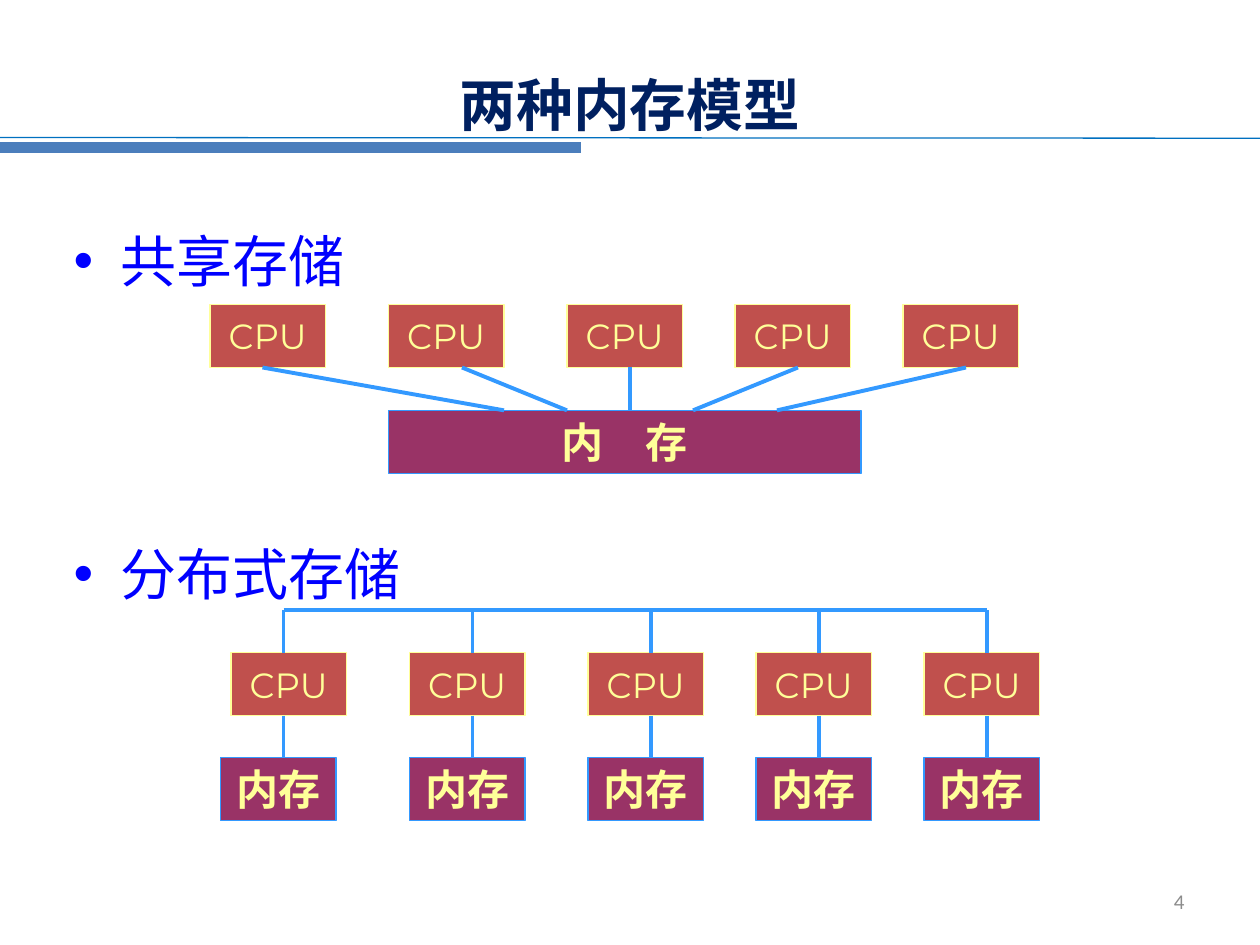
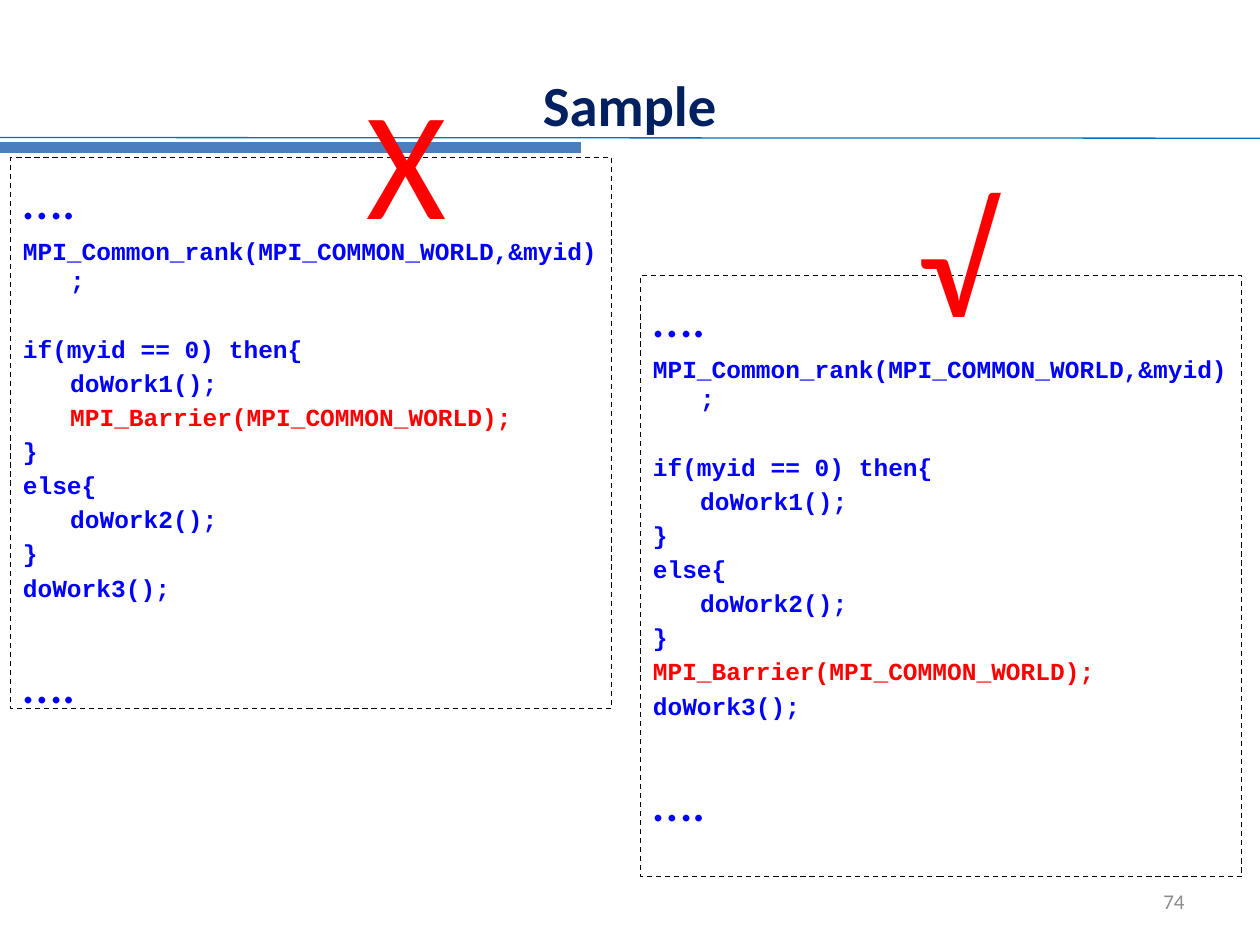
from lxml.etree import SubElement
from pptx import Presentation
from pptx.dml.color import RGBColor as RGB
from pptx.enum.dml import MSO_LINE
from pptx.enum.shapes import MSO_CONNECTOR as CONN, MSO_SHAPE as SHAPE
from pptx.enum.text import MSO_ANCHOR as ANCHOR, PP_ALIGN as ALIGN
from pptx.oxml.ns import qn
from pptx.util import Pt

COLORS = {
    "rule": "0070C0", "band": "4B7EBC", "title": "002060", "number": "8C8C8C",
    "blue": "0000FF", "red": "FF0000", "black": "000000", "link": "3399FF",
    "cpu": "C0504D", "memory": "993366", "yellow": "FFFF99",
}
CJK = "Noto Sans CJK SC"

# Text formats
TITLE = dict(name="Calibri", ea=CJK, size=32.4, bold=True, color="title")
NUMBER = dict(name="Calibri", size=12, color="number")
BULLET = dict(name="Calibri", ea=CJK, size=32, color="blue")
CPU_TEXT = dict(name="Montserrat", size=20, color="yellow")
MEMORY_TEXT = dict(name=CJK, size=24, bold=True, color="yellow")
CODE = dict(name="Courier New", size=14, bold=True, color="blue")
DOTS = dict(name="Calibri", size=32, color="blue")
MARK = dict(name="Calibri", size=88, color="red")

# Box formats: fill, line and text
CPU = ("cpu", "yellow", CPU_TEXT)
MEMORY = ("memory", "link", MEMORY_TEXT)

BOX_W, BOX_H = 66, 36
HANG = 27
CODE_W = 343.5
CODE_LINE, CODE_GAP = 17, 2.5
BLANK = CODE_LINE + CODE_GAP


def rgb(name):
    return RGB.from_string(COLORS[name])


def add_run(p, text, fmt):
    r = p.add_run()
    r.text = text
    for key, value in fmt.items():
        if key == "size":
            r.font.size = Pt(value)
        elif key == "color":
            r.font.color.rgb = rgb(value)
        elif key != "ea":
            setattr(r.font, key, value)
    ea = SubElement(r.font._element, qn("a:ea"))
    ea.set("typeface", fmt.get("ea", fmt["name"]))


def set_indent(p, left, first):
    pPr = p._p.get_or_add_pPr()
    pPr.set("marL", str(Pt(left)))
    pPr.set("indent", str(Pt(first)))
    return pPr


def add_text(s, box, text, fmt, align=ALIGN.LEFT, anchor=ANCHOR.MIDDLE, wrap=True):
    tf = s.shapes.add_textbox(*map(Pt, box)).text_frame
    tf.word_wrap, tf.vertical_anchor = wrap, anchor
    p = tf.paragraphs[0]
    p.alignment = align
    add_run(p, text, fmt)
    return tf


def add_bullet(s, y, text):
    tf = add_text(s, (42, y, 400, 48), text, BULLET)
    tf.margin_left = 0
    pPr = set_indent(tf.paragraphs[0], HANG, -HANG)
    SubElement(pPr, qn("a:buFont")).set("typeface", "Arial")
    SubElement(pPr, qn("a:buChar")).set("char", "•")


def add_line(s, x1, y1, x2, y2, color="link", width=2.25):
    ln = s.shapes.add_connector(CONN.STRAIGHT, *map(Pt, (x1, y1, x2, y2)))
    ln.line.color.rgb = rgb(color)
    ln.line.width = Pt(width)
    SubElement(ln._element.spPr, qn("a:effectLst"))


def add_rect(s, x, y, w, h, line, fill=None):
    sp = s.shapes.add_shape(SHAPE.RECTANGLE, *map(Pt, (x, y, w, h)))
    sp.shadow.inherit = False
    if fill:
        sp.fill.solid()
        sp.fill.fore_color.rgb = rgb(fill)
    else:
        sp.fill.background()
    sp.line.color.rgb = rgb(line)
    sp.line.width = Pt(0.75)
    return sp


def add_box(s, x, y, text, kind, w=BOX_W):
    fill, line, fmt = kind
    tf = add_rect(s, x, y, w, BOX_H, line, fill).text_frame
    tf.word_wrap, tf.vertical_anchor = False, ANCHOR.MIDDLE
    p = tf.paragraphs[0]
    p.alignment = ALIGN.CENTER
    add_run(p, text, fmt)


def add_code(s, x, y, h, lines):
    """Each line is (text, indented, colour, extra space before)."""
    sp = add_rect(s, x, y, CODE_W, h, "black")
    sp.line.dash_style = MSO_LINE.DASH
    tf = sp.text_frame
    tf.word_wrap, tf.vertical_anchor = True, ANCHOR.TOP
    dots = ("….", False, "blue", 0)
    for i, (text, indented, color, extra) in enumerate([dots, *lines, dots]):
        p = tf.add_paragraph() if i else tf.paragraphs[0]
        p.alignment = ALIGN.LEFT
        set_indent(p, HANG, 0 if indented else -HANG)
        if text == "….":
            p.space_before = Pt(6.4 + BLANK if i else 6.4)
            add_run(p, text, DOTS)
        else:
            p.line_spacing = Pt(CODE_LINE)
            p.space_before = Pt(CODE_GAP + extra)
            add_run(p, text, {**CODE, "color": color})


def add_slide(prs, title, number):
    s = prs.slides.add_slide(prs.slide_layouts[6])
    add_line(s, 0, 78.6, 720, 79, "rule", 0.75)
    add_line(s, 0, 84.3, 332, 84.3, "band", 6)
    add_text(s, (16.8, 39.6, 686, 39.6), title, TITLE, ALIGN.CENTER)
    add_text(s, (516, 500.5, 168, 28.8), number, NUMBER, ALIGN.RIGHT)
    return s


def memory_models(prs):
    s = add_slide(prs, "两种内存模型", "4")
    cpu_xs = [120, 222, 324, 420, 516]

    # Shared memory
    add_bullet(s, 124.5, "共享存储")
    cpu_y, bar_y = 174, 234.5
    add_box(s, 222, bar_y, "内　存", MEMORY, w=270)
    for x in cpu_xs:
        add_box(s, x, cpu_y, "CPU", CPU)
    for top_x, bar_x in zip([150, 264, 360, 456, 552], [288, 324, 360, 396, 444]):
        add_line(s, top_x, cpu_y + BOX_H, bar_x, bar_y)

    # Distributed memory
    add_bullet(s, 303.5, "分布式存储")
    bus_y, cpu_y, memory_y = 348.6, 373, 432.8
    memory_xs = [126, 234, 336, 432, 528]
    for cpu_x, memory_x in zip(cpu_xs, memory_xs):
        add_box(s, cpu_x + 12, cpu_y, "CPU", CPU)
        add_box(s, memory_x, memory_y, "内存", MEMORY)
        link_x = memory_x + 36
        add_line(s, link_x, bus_y, link_x, cpu_y)
        add_line(s, link_x, cpu_y + BOX_H, link_x, memory_y)
    add_line(s, memory_xs[0] + 36, bus_y, memory_xs[-1] + 36, bus_y)


def barrier_sample(prs):
    s = add_slide(prs, "Sample", "74")
    barrier = "MPI_Barrier(MPI_COMMON_WORLD);"
    start = [
        ("MPI_Common_rank(MPI_COMMON_WORLD,&myid);", False, "blue", 0),
        ("if(myid == 0) then{", False, "blue", BLANK),
        ("doWork1();", True, "blue", 0),
    ]
    branch = [
        ("}", False, "blue", 0),
        ("else{", False, "blue", 0),
        ("doWork2();", True, "blue", 0),
        ("}", False, "blue", 0),
    ]
    end = [("doWork3();", False, "blue", 0)]

    # Barrier inside one branch is wrong, after both branches is right
    add_code(s, 6, 90, 315, start + [(barrier, True, "red", 0)] + branch + end)
    add_code(s, 366, 157.5, 343.5, start + branch + [(barrier, False, "red", 0)] + end)
    add_text(s, (517.7, 90, 78.5, 114), "√", MARK, anchor=ANCHOR.TOP)
    add_text(s, (202.5, 34, 60.5, 114), "X", MARK, anchor=ANCHOR.TOP, wrap=False)


def main():
    prs = Presentation()
    prs.slide_width, prs.slide_height = Pt(720), Pt(540)
    memory_models(prs)
    barrier_sample(prs)
    prs.save("out.pptx")


if __name__ == "__main__":
    main()
